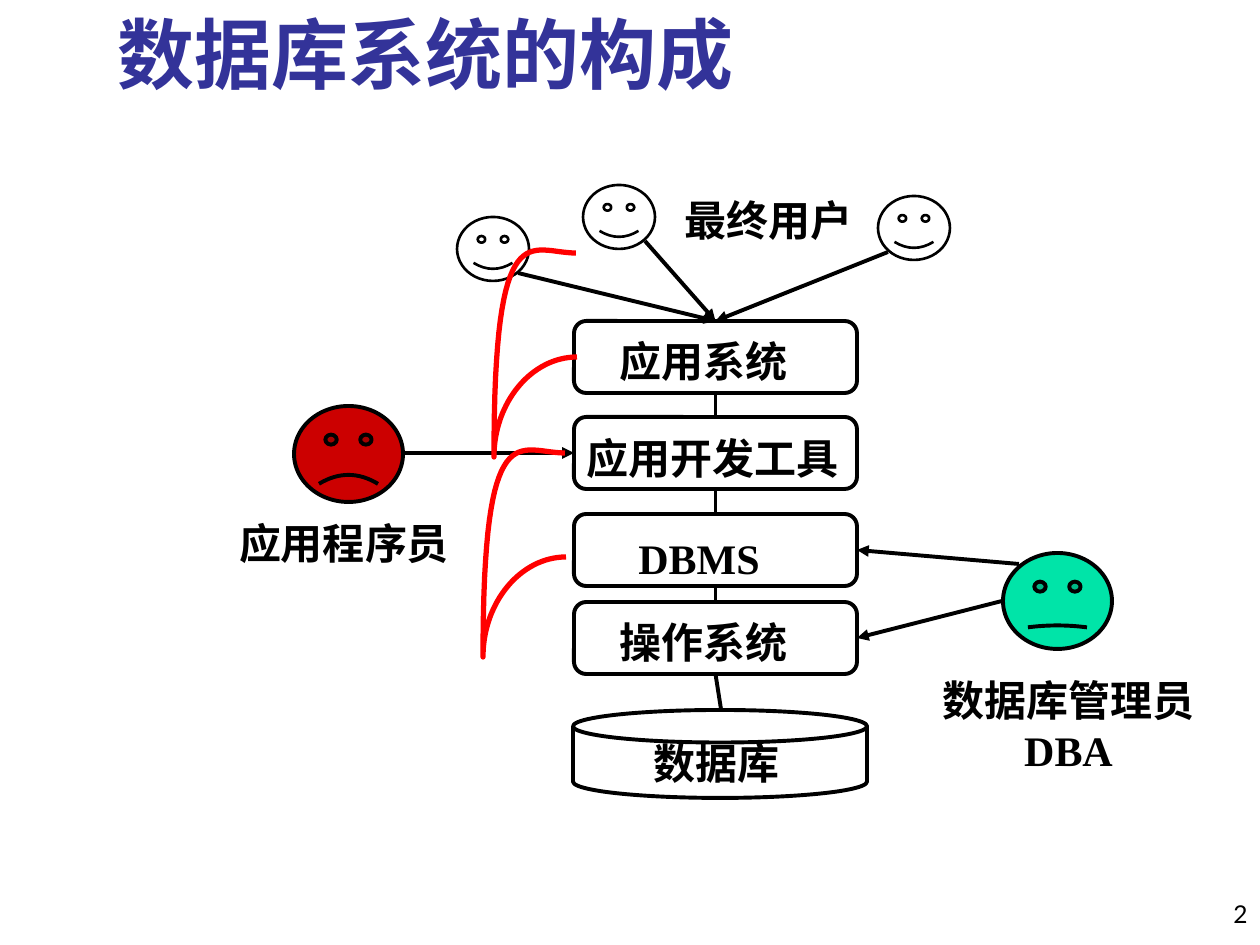
from lxml.etree import SubElement
from pptx import Presentation
from pptx.dml.color import RGBColor
from pptx.enum.shapes import MSO_CONNECTOR, MSO_SHAPE
from pptx.enum.text import MSO_ANCHOR, MSO_AUTO_SIZE, PP_ALIGN
from pptx.oxml.ns import qn
from pptx.util import Pt

EMU_PER_PX = 914400 / 126
FONT = "Times New Roman"
BLACK = RGBColor(0x00, 0x00, 0x00)
NAVY = RGBColor(0x33, 0x33, 0x99)
RED = RGBColor(0xFF, 0x00, 0x00)
DARK_RED = RGBColor(0xCC, 0x00, 0x00)
GREEN = RGBColor(0x00, 0xE4, 0xA8)

TOP, RIGHT, BOTTOM, LEFT = 0, 3, 2, 1
LAYER_LEFT, LAYER_WIDTH, LAYER_HEIGHT = 574, 283, 72

# Layer top, then label text and label box
LAYERS = [
    (321, "应用系统", (607, 329, 196, 63)),
    (417, "应用开发工具", (574, 426, 280, 63)),
    (514, "DBMS", (626, 526, 152, 63)),
    (602, "操作系统", (607, 610, 196, 63)),
]
# Bezier control points of the upper brace, each curve starting where the last ended
BRACE_START = (577, 357)
BRACE_CURVES = [
    ((532, 357), (494, 402), (494, 457)),
    ((494, 209), (530, 253), (576, 253)),
]
CURVE_STEPS = 32


def px(value):
    return round(value * EMU_PER_PX)


def box(bounds):
    return [px(value) for value in bounds]


def add_run(paragraph, text, size, color=BLACK, bold=True, font=FONT):
    run = paragraph.add_run()
    run.text = text
    run.font.name = font
    run.font.size = Pt(size)
    run.font.bold = bold
    run.font.color.rgb = color


def add_title(slide, text):
    title = slide.shapes.title
    title.left, title.top, title.width, title.height = box((105, 10, 1074, 95))
    frame = title.text_frame
    frame.auto_size = MSO_AUTO_SIZE.NONE
    frame.vertical_anchor = MSO_ANCHOR.BOTTOM
    frame.paragraphs[0].alignment = PP_ALIGN.LEFT
    add_run(frame.paragraphs[0], text, 44, NAVY)


def add_label(slide, lines, bounds, alignment=PP_ALIGN.LEFT):
    frame = slide.shapes.add_textbox(*box(bounds)).text_frame
    frame.word_wrap = False
    frame.auto_size = MSO_AUTO_SIZE.SHAPE_TO_FIT_TEXT
    for index, line in enumerate(lines):
        paragraph = frame.add_paragraph() if index else frame.paragraphs[0]
        paragraph.alignment = alignment
        add_run(paragraph, line, 24)


def add_page_number(slide, number):
    frame = slide.shapes.add_textbox(*box((1176, 872, 84, 63))).text_frame
    frame.word_wrap = True
    frame.vertical_anchor = MSO_ANCHOR.BOTTOM
    frame.paragraphs[0].alignment = PP_ALIGN.RIGHT
    add_run(frame.paragraphs[0], number, 14, bold=False, font="Lato")


def style_outline(shape, color=BLACK, width=2.25, fill=None):
    shape.shadow.inherit = False
    shape.line.color.rgb = color
    shape.line.width = Pt(width)
    if fill is None:
        shape.fill.background()
    else:
        shape.fill.solid()
        shape.fill.fore_color.rgb = fill


def add_outline(slide, preset, bounds, adjustment, width=2.25, fill=None):
    shape = slide.shapes.add_shape(preset, *box(bounds))
    shape.adjustments[0] = adjustment
    style_outline(shape, width=width, fill=fill)
    return shape


def add_line(slide, start, end, begin=None, finish=None, arrow=False):
    """Draw a line; begin and finish are (shape, side) pairs to join."""
    line = slide.shapes.add_connector(MSO_CONNECTOR.STRAIGHT, *box(start + end))
    line.line.color.rgb = BLACK
    line.line.width = Pt(2.25)
    if begin:
        line.begin_connect(*begin)
    if finish:
        line.end_connect(*finish)
    if arrow:
        SubElement(line.line._get_or_add_ln(), qn("a:tailEnd"), type="triangle")
    SubElement(line._element.spPr, qn("a:effectLst"))


def bezier_points(start, first, second, end):
    for step in range(1, CURVE_STEPS + 1):
        t = step / CURVE_STEPS
        weights = ((1 - t) ** 3, 3 * t * (1 - t) ** 2, 3 * t ** 2 * (1 - t), t ** 3)
        controls = (start, first, second, end)
        yield tuple(sum(w * point[axis] for w, point in zip(weights, controls))
                    for axis in (0, 1))


def add_brace(slide, shift_x, shift_y):
    points = [BRACE_START]
    for curve in BRACE_CURVES:
        points.extend(bezier_points(points[-1], *curve))
    outline = [(px(x + shift_x), px(y + shift_y)) for x, y in points]
    builder = slide.shapes.build_freeform(*outline[0])
    builder.add_line_segments(outline[1:], close=False)
    style_outline(builder.convert_to_shape(), RED, 3)


def main():
    presentation = Presentation()
    presentation.slide_width, presentation.slide_height = px(1260), px(945)
    slide = presentation.slides.add_slide(presentation.slide_layouts[5])
    add_page_number(slide, "2")
    add_title(slide, "数据库系统的构成")

    # Database
    add_outline(slide, MSO_SHAPE.CAN, (573, 710, 294, 88), 0.37)
    add_label(slide, ["数据库"], (641, 731, 154, 63))

    # End users
    for left, top in ((457, 217), (583, 185), (878, 196)):
        add_outline(slide, MSO_SHAPE.SMILEY_FACE, (left, top, 72, 64), 0.09, 1.5)
    add_label(slide, ["最终用户"], (672, 188, 196, 63))

    # Software layers
    layers = []
    for top, text, label_bounds in LAYERS:
        add_label(slide, [text], label_bounds)
        bounds = (LAYER_LEFT, top, LAYER_WIDTH, LAYER_HEIGHT)
        layers.append(add_outline(slide, MSO_SHAPE.ROUNDED_RECTANGLE, bounds, 0.17))
    application, tools, dbms, system = layers

    # Administrator and programmer
    add_outline(slide, MSO_SHAPE.SMILEY_FACE, (1003, 553, 109, 96), -0.01, fill=GREEN)
    add_label(slide, ["数据库管理员", "DBA"], (928, 668, 281, 113), PP_ALIGN.CENTER)
    add_outline(slide, MSO_SHAPE.SMILEY_FACE, (294, 406, 109, 96), -0.05, fill=DARK_RED)
    add_label(slide, ["应用程序员"], (222, 511, 244, 63), PP_ALIGN.CENTER)

    # Links down the stack
    middle = LAYER_LEFT + LAYER_WIDTH // 2
    add_line(slide, (middle, 675), (721, 709), begin=(system, BOTTOM))
    for upper, lower in zip(layers, layers[1:]):
        add_line(slide, (middle, 0), (middle, 0), (upper, BOTTOM), (lower, TOP))

    # Arrows from people to layers
    for start, target, side in (
        ((518, 273), application, TOP),
        ((645, 241), application, TOP),
        ((888, 252), application, TOP),
        ((404, 453), tools, LEFT),
        ((1019, 564), dbms, RIGHT),
        ((1002, 601), system, RIGHT),
    ):
        add_line(slide, start, start, finish=(target, side), arrow=True)

    # Red braces
    add_brace(slide, 0, 0)
    add_brace(slide, -11, 200)

    presentation.save("out.pptx")


if __name__ == "__main__":
    main()
